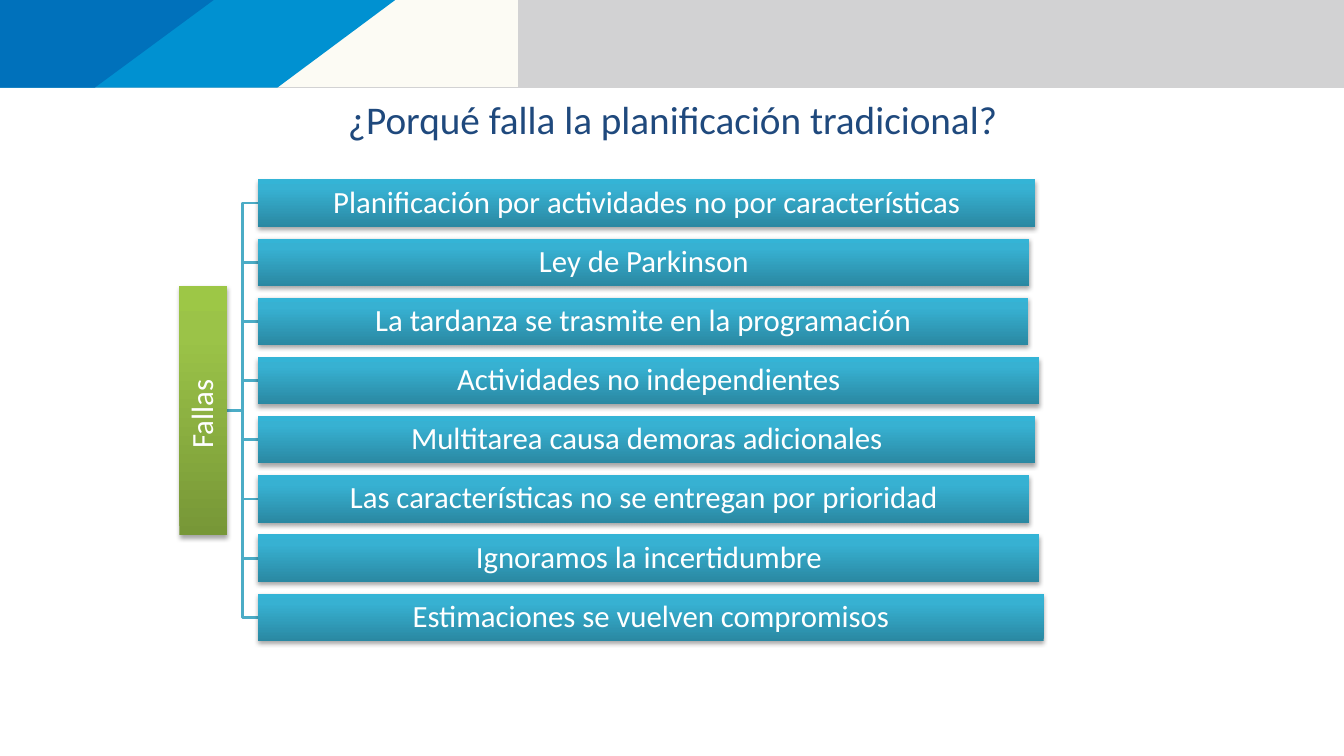
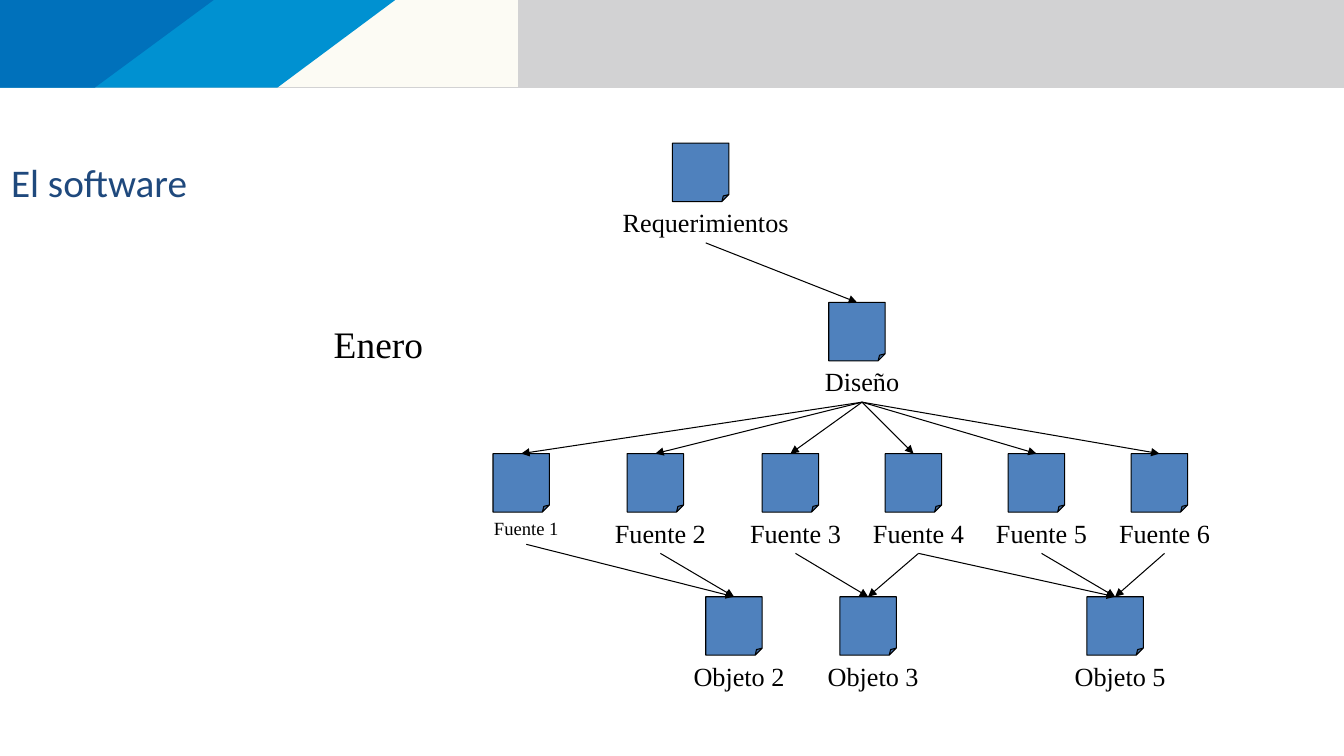
from typing import NamedTuple

from lxml.etree import SubElement
from pptx import Presentation
from pptx.dml.color import RGBColor
from pptx.enum.shapes import MSO_CONNECTOR, MSO_SHAPE
from pptx.enum.text import MSO_ANCHOR, PP_ALIGN
from pptx.oxml import parse_xml
from pptx.oxml.ns import nsdecls, qn
from pptx.shapes.autoshape import Shape
from pptx.slide import Slide
from pptx.util import Inches, Pt

COLORS = {
    "band_gray": "D2D2D3",
    "band_cream": "FCFBF4",
    "band_sky": "0091D1",
    "band_blue": "0071BB",
    "title": "1F497D",
    "tree_line": "4BACC6",
    "document": "4F81BD",
    "ink": "000000",
    "white": "FFFFFF",
}
# Gradient stops, from the bottom edge to the top edge: percent, colour
GREEN_STOPS = ((0, "779737"), (80, "9BC348"), (100, "9DC746"))
TEAL_STOPS = ((0, "2A88A2"), (80, "37B1D2"), (100, "34B4D6"))
SANS, SERIF = "Calibri", "Times New Roman"


class Area(NamedTuple):
    left: float
    top: float
    width: float
    height: float

    def lengths(self) -> tuple:
        return tuple(Inches(value) for value in self)


class Band(NamedTuple):
    color: str
    points: tuple


class Failure(NamedTuple):
    text: str
    width: float


class Document(NamedTuple):
    label: str
    left: float
    top: float
    size: float = 18.7
    label_height: float = 0.41


BANDS = (
    Band("band_gray", ((0, 0), (13.33, 0), (13.33, 0.87), (0, 0.87))),
    Band("band_cream", ((0, -0.02), (5.14, -0.02), (5.14, 0.86), (0, 0.86))),
    Band("band_sky", ((0, 0), (3.92, 0), (2.75, 0.87), (0, 0.87))),
    Band("band_blue", ((0, 0), (2.12, 0), (0.94, 0.87), (0, 0.87))),
)

FAILURES = (
    Failure("Planificación por actividades no por características", 7.71),
    Failure("Ley de Parkinson", 7.65),
    Failure("La tardanza se trasmite en la programación", 7.64),
    Failure("Actividades no independientes", 7.75),
    Failure("Multitarea causa demoras adicionales", 7.71),
    Failure("Las características no se entregan por prioridad", 7.65),
    Failure("Ignoramos la incertidumbre", 7.75),
    Failure("Estimaciones se vuelven compromisos", 7.79),
)
BAR_LEFT, BAR_HEIGHT = 2.56, 0.47
FIRST_TOP, LAST_TOP = 1.78, 5.89
ROOT = Area(1.78, 2.84, 0.47, 2.47)

SOURCE_TOP, OBJECT_TOP = 4.5, 5.92
DOCUMENTS = (
    Document("Requerimientos", 6.67, 1.42),
    Document("Diseño", 8.22, 3),
    Document("Fuente 1", 4.89, SOURCE_TOP, 13.3, 0.32),
    Document("Fuente 2", 6.22, SOURCE_TOP),
    Document("Fuente 3", 7.56, SOURCE_TOP),
    Document("Fuente 4", 8.78, SOURCE_TOP),
    Document("Fuente 5", 10, SOURCE_TOP),
    Document("Fuente 6", 11.22, SOURCE_TOP),
    Document("Objeto 2", 7, OBJECT_TOP),
    Document("Objeto 3", 8.33, OBJECT_TOP),
    Document("Objeto 5", 10.78, OBJECT_TOP),
)
LINKS = (
    ("Requerimientos", "Diseño"),
    *(("Diseño", f"Fuente {number}") for number in range(1, 7)),
    ("Fuente 1", "Objeto 2"),
    ("Fuente 2", "Objeto 2"),
    ("Fuente 3", "Objeto 3"),
    ("Fuente 4", "Objeto 3"),
    ("Fuente 4", "Objeto 5"),
    ("Fuente 5", "Objeto 5"),
    ("Fuente 6", "Objeto 5"),
)
PAPER_WIDTH, PAPER_HEIGHT = 0.56, 0.58
LABEL_WIDTH, LABEL_OFFSET = 2, 0.67


def rgb(name: str) -> RGBColor:
    return RGBColor.from_string(COLORS[name])


def write(box: Shape, text: str, size: float, font: str, color: str,
          align: PP_ALIGN, insets: tuple = (0.1, 0.05), wrap: bool = True) -> None:
    """Fill a shape with one formatted paragraph."""
    frame = box.text_frame
    frame.text = text
    frame.word_wrap = wrap
    frame.margin_left = frame.margin_right = Inches(insets[0])
    frame.margin_top = frame.margin_bottom = Inches(insets[1])
    para = frame.paragraphs[0]
    para.alignment = align
    for span in para.runs:
        span.font.size = Pt(size)
        span.font.name = font
        span.font.color.rgb = rgb(color)


def add_outline(page: Slide, points: tuple, close: bool) -> Shape:
    """Add a freeform through points given in inches."""
    corners = [(Inches(x), Inches(y)) for x, y in points]
    builder = page.shapes.build_freeform(*corners[0])
    builder.add_line_segments(corners[1:], close=close)
    outline = builder.convert_to_shape()
    outline.shadow.inherit = False
    return outline


def add_page(deck: Presentation, title: str, area: Area, align: PP_ALIGN,
             insets: tuple) -> Slide:
    """Add a slide with the header bands and its title."""
    page = deck.slides.add_slide(deck.slide_layouts[6])
    for band in BANDS:
        shape = add_outline(page, band.points, True)
        shape.fill.solid()
        shape.fill.fore_color.rgb = rgb(band.color)
        shape.line.fill.background()
    box = page.shapes.add_textbox(*area.lengths())
    write(box, title, 28, SANS, "title", align, insets)
    return page


def add_bar(page: Slide, area: Area, text: str, stops: tuple) -> Shape:
    """Add a gradient bar with a soft shadow and white text."""
    bar = page.shapes.add_shape(MSO_SHAPE.RECTANGLE, *area.lengths())
    bar.line.fill.background()
    bar.shadow.inherit = False
    bar.fill.background()
    properties = bar.element.spPr
    stop_xml = "".join(
        f'<a:gs pos="{percent * 1000}"><a:srgbClr val="{color}"/></a:gs>'
        for percent, color in stops)
    gradient = parse_xml(
        f'<a:gradFill {nsdecls("a")} rotWithShape="1"><a:gsLst>{stop_xml}</a:gsLst>'
        '<a:lin ang="16200000" scaled="0"/></a:gradFill>')
    properties.replace(properties.find(qn("a:noFill")), gradient)
    properties.find(qn("a:effectLst")).append(parse_xml(
        f'<a:outerShdw {nsdecls("a")} blurRad="{Pt(3.1)}" dist="{Pt(1.8)}" '
        'dir="5400000" rotWithShape="0"><a:srgbClr val="000000">'
        '<a:alpha val="35000"/></a:srgbClr></a:outerShdw>'))
    write(bar, text, 22, SANS, "white", PP_ALIGN.CENTER, (0.02, 0.02))
    bar.text_frame.vertical_anchor = MSO_ANCHOR.MIDDLE
    bar.text_frame.paragraphs[0].line_spacing = 0.9
    return bar


def add_failure_tree(page: Slide) -> None:
    pitch = (LAST_TOP - FIRST_TOP) / (len(FAILURES) - 1)
    tops = [FIRST_TOP + pitch * row for row in range(len(FAILURES))]
    root_right = ROOT.left + ROOT.width
    root_middle = ROOT.top + ROOT.height / 2
    elbow = (root_right + BAR_LEFT) / 2
    # Branches
    for top in tops:
        middle = top + BAR_HEIGHT / 2
        branch = add_outline(page, ((root_right, root_middle), (elbow, root_middle),
                                    (elbow, middle), (BAR_LEFT, middle)), False)
        branch.fill.background()
        branch.line.color.rgb = rgb("tree_line")
        branch.line.width = Pt(2)
    # Root and bars
    root = add_bar(page, ROOT, "Fallas ", GREEN_STOPS)
    root.element.txBody.find(qn("a:bodyPr")).set("vert", "vert270")
    for top, failure in zip(tops, FAILURES):
        add_bar(page, Area(BAR_LEFT, top, failure.width, BAR_HEIGHT),
                failure.text, TEAL_STOPS)


def add_document(page: Slide, document: Document) -> tuple[Shape, Shape]:
    """Add a folded sheet and the label below it."""
    area = Area(document.left, document.top, PAPER_WIDTH, PAPER_HEIGHT)
    paper = page.shapes.add_shape(MSO_SHAPE.FOLDED_CORNER, *area.lengths())
    # The fold takes an eighth of the sheet
    guides = paper.element.spPr.find(qn("a:prstGeom")).get_or_add_avLst()
    SubElement(guides, qn("a:gd"), name="adj", fmla="val 12500")
    paper.shadow.inherit = False
    paper.fill.solid()
    paper.fill.fore_color.rgb = rgb("document")
    paper.line.color.rgb = rgb("ink")
    paper.line.width = Pt(0.75)
    label_area = Area(document.left - LABEL_OFFSET, document.top + PAPER_HEIGHT,
                      LABEL_WIDTH, document.label_height)
    label = page.shapes.add_textbox(*label_area.lengths())
    write(label, document.label, document.size, SERIF, "ink", PP_ALIGN.CENTER)
    return paper, label


def add_arrow(page: Slide, label: Shape, paper: Shape) -> None:
    """Join the bottom of a label to the top of a sheet."""
    arrow = page.shapes.add_connector(MSO_CONNECTOR.STRAIGHT, 0, 0, 0, 0)
    arrow.begin_connect(label, 2)
    arrow.end_connect(paper, 0)
    arrow.line.color.rgb = rgb("ink")
    arrow.line.width = Pt(0.75)
    properties = arrow.element.spPr
    SubElement(properties.find(qn("a:ln")), qn("a:tailEnd"), type="triangle")
    SubElement(properties, qn("a:effectLst"))


def add_software_map(page: Slide) -> None:
    nodes = {document.label: add_document(page, document) for document in DOCUMENTS}
    for start, end in LINKS:
        add_arrow(page, nodes[start][1], nodes[end][0])
    month = page.shapes.add_textbox(*Area(3.2, 3.13, 1.12, 0.56).lengths())
    write(month, "Enero", 26.7, SERIF, "ink", PP_ALIGN.LEFT, (0.11, 0.06), False)


def main() -> None:
    deck = Presentation()
    deck.slide_width, deck.slide_height = Inches(13.33), Inches(7.5)

    # Reasons why planning fails
    page = add_page(deck, "¿Porqué falla la planificación tradicional?",
                    Area(0.67, 0.95, 12, 0.47), PP_ALIGN.CENTER, (0, 0))
    add_failure_tree(page)

    # Documents that make up the software
    page = add_page(deck, "El software", Area(0, 1.51, 11.33, 0.58),
                    PP_ALIGN.LEFT, (0.11, 0.06))
    add_software_map(page)

    deck.save("out.pptx")


if __name__ == "__main__":
    main()
